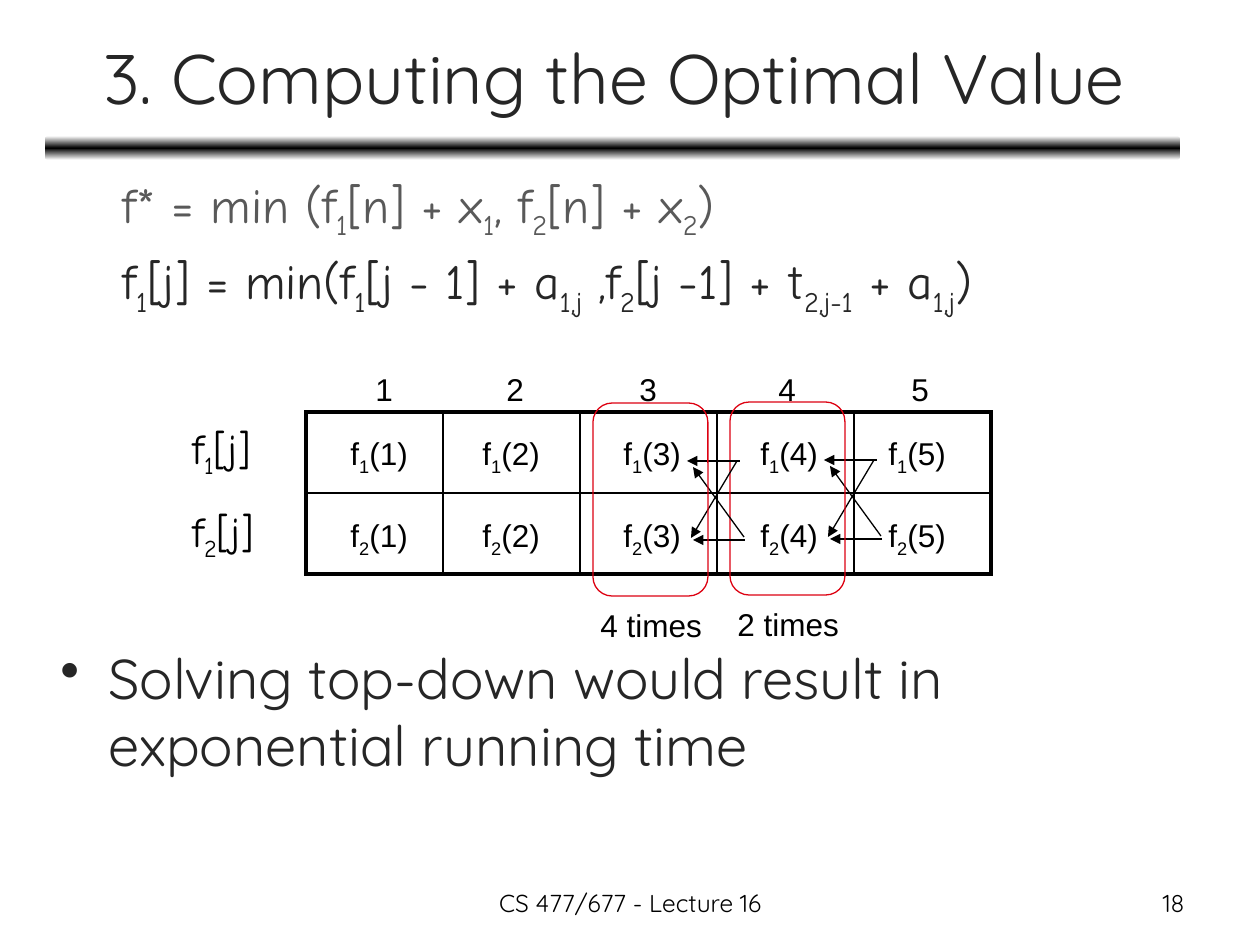
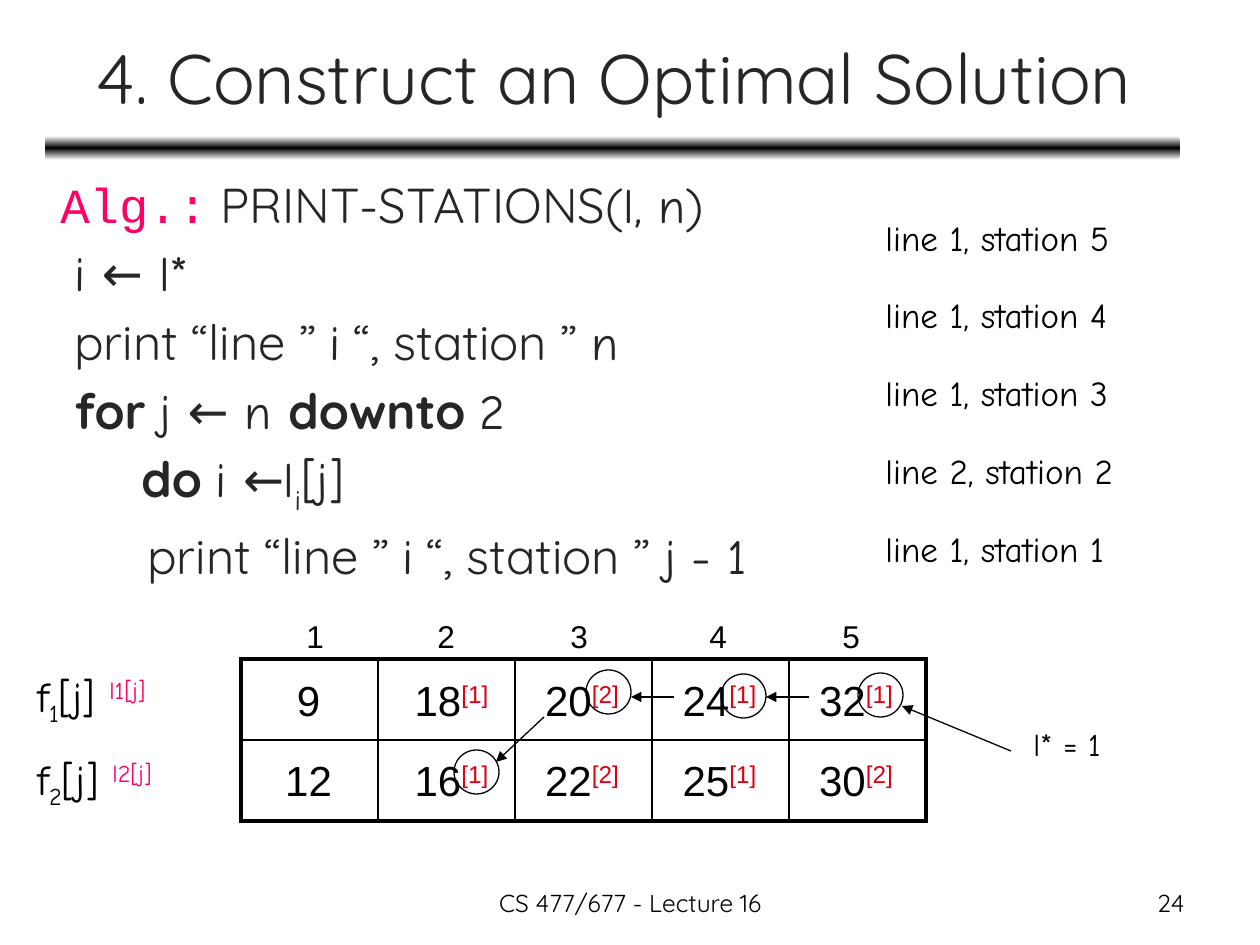
import dataclasses

import pptx
import pptx.dml.color
import pptx.enum.shapes
import pptx.enum.text
import pptx.oxml
import pptx.oxml.ns
import pptx.util

EMU_PER_PIXEL = 914400 / 126
SHAPE = pptx.enum.shapes.MSO_SHAPE
ALIGN = pptx.enum.text.PP_ALIGN
NAMESPACE = pptx.oxml.ns.nsdecls("a")


@dataclasses.dataclass(frozen=True)
class Theme:
    black: str = "000000"
    red: str = "DD0111"
    title_size: int = 40
    bullet_size: int = 32
    body_size: int = 28
    large: int = 24
    answer_size: int = 20
    small: int = 18
    footer_size: int = 14
    thin: float = 0.75
    inner_border: float = 1
    outer_border: float = 2.25


THEME = Theme()

# Text styles: font, colour, bold
STYLES = {
    "sans": ("Quicksand", "262626", False),
    "bold": ("Quicksand", "262626", True),
    "hand": ("Comic Neue", "262626", False),
    "faded": ("Comic Neue", "595959", False),
    "keyword": ("Courier New", "FF0066", False),
    "footer": ("Quicksand", THEME.black, False),
    "label": ("Comic Neue", THEME.black, False),
    "mark": ("Comic Neue", "FF0066", False),
    "cell": ("Arial", THEME.black, False),
    "choice": ("Arial", THEME.red, False),
}

# Content: runs are (text, style); _x_ is a subscript, ^x^ a superscript
FOOTER = "CS 477/677 - Lecture 16"
FORMULAS = [
    [("f* = min (f_1_[n] + x_1_, f_2_[n] + x_2_)", "faded")],
    [("f_1_[j] = min(f_1_[j - 1] + a_1,j_ ,f_2_[j -1] + ", "hand"),
     ("t", "sans"), ("_2,j-1_ + a_1,j_)", "hand")],
]
CONCLUSION = "Solving top-down would result in exponential running time"
REPEATS = ["2 times", "4 times"]

ALGORITHM = [  # indent, runs
    (0, [("Alg.:", "keyword"), (" PRINT-STATIONS(", "sans"),
         ("l, n", "hand"), (")", "sans")]),
    (14, [("i ← l*", "hand")]),
    (14, [("print “line ” ", "sans"), ("i", "hand"),
          (" “, station ” ", "sans"), ("n", "hand")]),
    (14, [("for ", "bold"), ("j ← n ", "hand"), ("downto ", "bold"),
          ("2", "hand")]),
    (81, [("do ", "bold"), ("i ←l_i_[j]", "hand")]),
    (87, [("print “line ” ", "sans"), ("i", "hand"),
          (" “, station ” ", "sans"), ("j - 1", "hand")]),
]
STOPS = [(1, 5), (1, 4), (1, 3), (2, 2), (1, 1)]  # line, station
COSTS = [  # cost, line chosen
    [("9", ""), ("18", "[1]"), ("20", "[2]"), ("24", "[1]"), ("32", "[1]")],
    [("12", ""), ("16", "[1]"), ("22", "[2]"), ("25", "[1]"), ("30", "[2]")],
]

# Places in pixels
HEADING_OFFSETS = [53, 184, 317, 456, 589]
CELL_SIZE = (137, 81)
FUNCTION_LEFTS = [338, 470, 611, 748, 876]
COST_SPANS = [(268, 81), (392, 119), (529, 106), (667, 105), (803, 106)]
CALLS = [(877, 460, 824, 460), (874, 460, 828, 537),
         (881, 536, 830, 466), (882, 539, 830, 539)]
CALL_SHIFT = (-137, 1)
CIRCLES = [(858, 673), (721, 674), (586, 670), (454, 750)]
TRACE = [(1011, 751, 902, 706), (809, 697, 766, 697),
         (674, 697, 631, 697), (544, 717, 496, 762)]


def emu(*pixels):
    return [round(pixel * EMU_PER_PIXEL) for pixel in pixels]


def color(value):
    return pptx.dml.color.RGBColor.from_string(value)


def add_run(paragraph, text, style, size, baseline):
    run = paragraph.add_run()
    run.text = text
    run.font.name, run.font.bold = STYLES[style][0], STYLES[style][2]
    run.font.color.rgb = color(STYLES[style][1])
    run.font.size = pptx.util.Pt(size)
    if baseline:
        run._r.get_or_add_rPr().set("baseline", str(baseline))


def write_runs(paragraph, runs, size):
    for text, style in runs:
        for low_index, part in enumerate(text.split("_")):
            for high_index, piece in enumerate(part.split("^")):
                if piece:
                    baseline = -25000 * (low_index % 2) + 30000 * (high_index % 2)
                    add_run(paragraph, piece, style, size, baseline)


def add_text(slide, box, paragraphs, size, wrap=True, align=ALIGN.LEFT,
             grow=True):
    shape = slide.shapes.add_textbox(*emu(*box))
    frame = shape.text_frame
    frame.word_wrap = wrap
    if grow:
        frame.auto_size = pptx.enum.text.MSO_AUTO_SIZE.SHAPE_TO_FIT_TEXT
    for index, runs in enumerate(paragraphs):
        paragraph = frame.paragraphs[0] if index == 0 else frame.add_paragraph()
        paragraph.alignment = align
        if index:
            paragraph.space_before = pptx.util.Pt(size * 0.2)
        write_runs(paragraph, runs, size)
    return frame


def set_indent(paragraph, margin, first_line=0):
    properties = paragraph._p.get_or_add_pPr()
    properties.set("marL", str(emu(margin)[0]))
    properties.set("indent", str(emu(first_line)[0]))
    return properties


def add_outline(slide, kind, box, line_color):
    shape = slide.shapes.add_shape(kind, *emu(*box))
    shape.shadow.inherit = False
    shape.fill.background()
    shape.line.color.rgb = color(line_color)
    shape.line.width = pptx.util.Pt(THEME.thin)


def add_arrow(slide, ends):
    connector = slide.shapes.add_connector(
        pptx.enum.shapes.MSO_CONNECTOR.STRAIGHT, *emu(*ends))
    connector.line.color.rgb = color(THEME.black)
    connector.line.width = pptx.util.Pt(THEME.thin)
    connector.line._get_or_add_ln().append(pptx.oxml.parse_xml(
        f'<a:tailEnd {NAMESPACE} type="triangle"/>'))
    connector._element.spPr.append(
        pptx.oxml.parse_xml(f"<a:effectLst {NAMESPACE}/>"))


def add_band(slide):
    band = slide.shapes.add_shape(SHAPE.ROUNDED_RECTANGLE,
                                  *emu(45, 136, 1135, 24))
    band.shadow.inherit = False
    band.line.fill.background()
    band.fill.background()
    stops = "".join(
        f'<a:gs pos="{position}"><a:srgbClr val="{value}"/></a:gs>'
        for position, value in [(0, "FFFFFF"), (50000, THEME.black),
                                (100000, "FFFFFF")])
    properties = band._element.spPr
    properties.replace(
        properties.find(pptx.oxml.ns.qn("a:noFill")),
        pptx.oxml.parse_xml(
            f"<a:gradFill {NAMESPACE}><a:gsLst>{stops}</a:gsLst>"
            '<a:lin ang="5400000" scaled="0"/></a:gradFill>'))


def add_slide(presentation, title, number):
    slide = presentation.slides.add_slide(presentation.slide_layouts[5])
    add_band(slide)
    shape = slide.shapes.title
    shape.left, shape.top, shape.width, shape.height = emu(47, 14, 1134, 125)
    shape.text_frame.vertical_anchor = pptx.enum.text.MSO_ANCHOR.MIDDLE
    paragraph = shape.text_frame.paragraphs[0]
    paragraph.alignment = ALIGN.CENTER
    write_runs(paragraph, [(title, "sans")], THEME.title_size)
    for box, text, align in [((431, 882, 399, 44), FOOTER, ALIGN.CENTER),
                             ((903, 882, 294, 44), number, ALIGN.RIGHT)]:
        add_text(slide, box, [[(text, "footer")]], THEME.footer_size,
                 align=align, grow=False)
    return slide


def add_border(cell, side, width):
    cell._tc.get_or_add_tcPr().append(pptx.oxml.parse_xml(
        f'<a:ln{side} {NAMESPACE} w="{pptx.util.Pt(width)}"><a:solidFill>'
        f'<a:srgbClr val="{THEME.black}"/></a:solidFill></a:ln{side}>'))


def add_grid(slide, left, top, heading_left):
    rows, columns = 2, len(HEADING_OFFSETS)
    width, height = CELL_SIZE
    table = slide.shapes.add_table(
        rows, columns, *emu(left, top, columns * width, rows * height)).table
    table.first_row = table.horz_banding = False
    for row in range(rows):
        for column in range(columns):
            cell = table.cell(row, column)
            edges = {"L": column == 0, "R": column == columns - 1,
                     "T": row == 0, "B": row == rows - 1}
            for side, outer in edges.items():
                add_border(cell, side, THEME.outer_border if outer
                           else THEME.inner_border)
            cell.fill.background()
    for index, offset in enumerate(HEADING_OFFSETS):
        add_text(slide, (heading_left + offset, top - 48, 43, 50),
                 [[(str(index + 1), "cell")]], THEME.small, wrap=False)


presentation = pptx.Presentation()
presentation.slide_width, presentation.slide_height = emu(1260, 945)

# Slide 18: recursion formulas and repeated calls
slide = add_slide(presentation, "3. Computing the Optimal Value", "18")
add_text(slide, (110, 168, 1130, 160), FORMULAS, THEME.body_size, grow=False)
add_grid(slide, 306, 412, 310)
for row in range(2):
    name = f"f_{row + 1}_"
    add_text(slide, (180, 416 + 83 * row, 110, 63),
             [[(name + "[j]", "label")]], THEME.large, wrap=False)
    for column, left in enumerate(FUNCTION_LEFTS):
        add_text(slide, (left, 428 + 82 * row, 84, 50),
                 [[(f"{name}({column + 1})", "cell")]], THEME.small, wrap=False)
for index, label in enumerate(REPEATS):
    shift_x, shift_y = (index * shift for shift in CALL_SHIFT)
    for x1, y1, x2, y2 in CALLS:
        add_arrow(slide, (x1 + shift_x, y1 + shift_y,
                          x2 + shift_x, y2 + shift_y))
    add_outline(slide, SHAPE.ROUNDED_RECTANGLE,
                (730 + shift_x, 402 + shift_y, 115, 193), THEME.red)
    add_text(slide, (725 + shift_x, 599 + shift_y, 127, 50),
             [[(label, "cell")]], THEME.small, wrap=False)
frame = add_text(slide, (48, 637, 1192, 160), [[(CONCLUSION, "sans")]],
                 THEME.bullet_size, grow=False)
set_indent(frame.paragraphs[0], 48, -48).append(
    pptx.oxml.parse_xml(f'<a:buChar {NAMESPACE} char="•"/>'))

# Slide 24: algorithm, its output and the traced path
slide = add_slide(presentation, "4. Construct an Optimal Solution", "24")
frame = add_text(slide, (48, 168, 1134, 440), [runs for _, runs in ALGORITHM],
                 THEME.body_size, grow=False)
for paragraph, (indent, _) in zip(frame.paragraphs, ALGORITHM):
    set_indent(paragraph, indent)
for index, (line, station) in enumerate(STOPS):
    add_text(slide, (873, 210 + 77.75 * index, 309, 54),
             [[(f"line {line}, station {station}", "label")]],
             THEME.answer_size)
add_grid(slide, 241, 659, 241)
for row, costs in enumerate(COSTS):
    add_text(slide, (25, 664 + 83 * row, 225, 63),
             [[(f"f_{row + 1}_[j] ", "label"), (f"^l{row + 1}[j]^", "mark")]],
             THEME.large)
    for (cost, choice), (left, width) in zip(costs, COST_SPANS):
        add_text(slide, (left, 668 + 80 * row, width, 63),
                 [[(cost, "cell"), (f"^{choice}^", "choice")]],
                 THEME.large, align=ALIGN.CENTER)
add_text(slide, (1021, 719, 100, 50), [[("l* = 1", "label")]], THEME.small,
         wrap=False)
for (left, top), ends in zip(CIRCLES, TRACE):
    add_outline(slide, SHAPE.OVAL, (left, top, 45, 44), THEME.black)
    add_arrow(slide, ends)

presentation.save("out.pptx")
